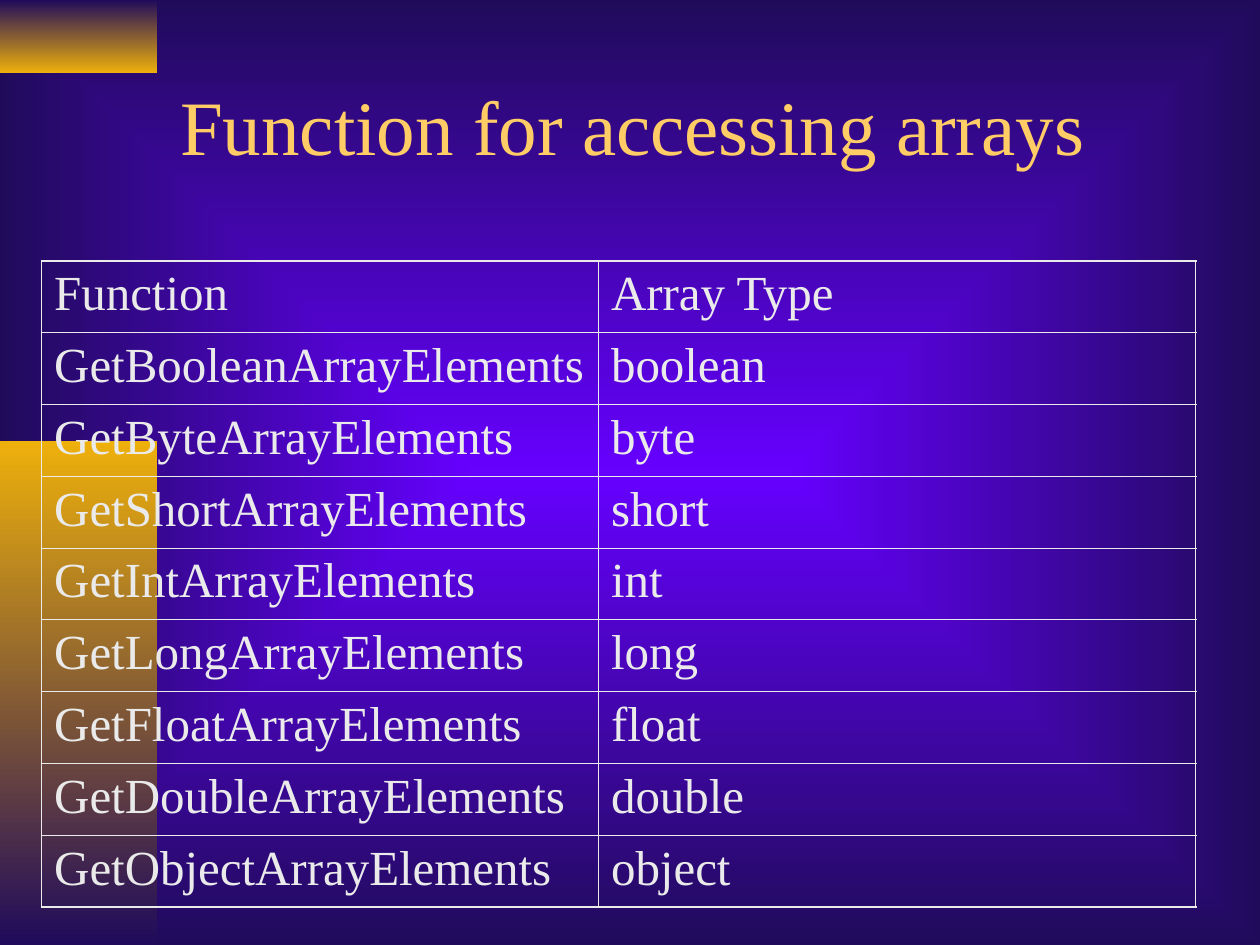
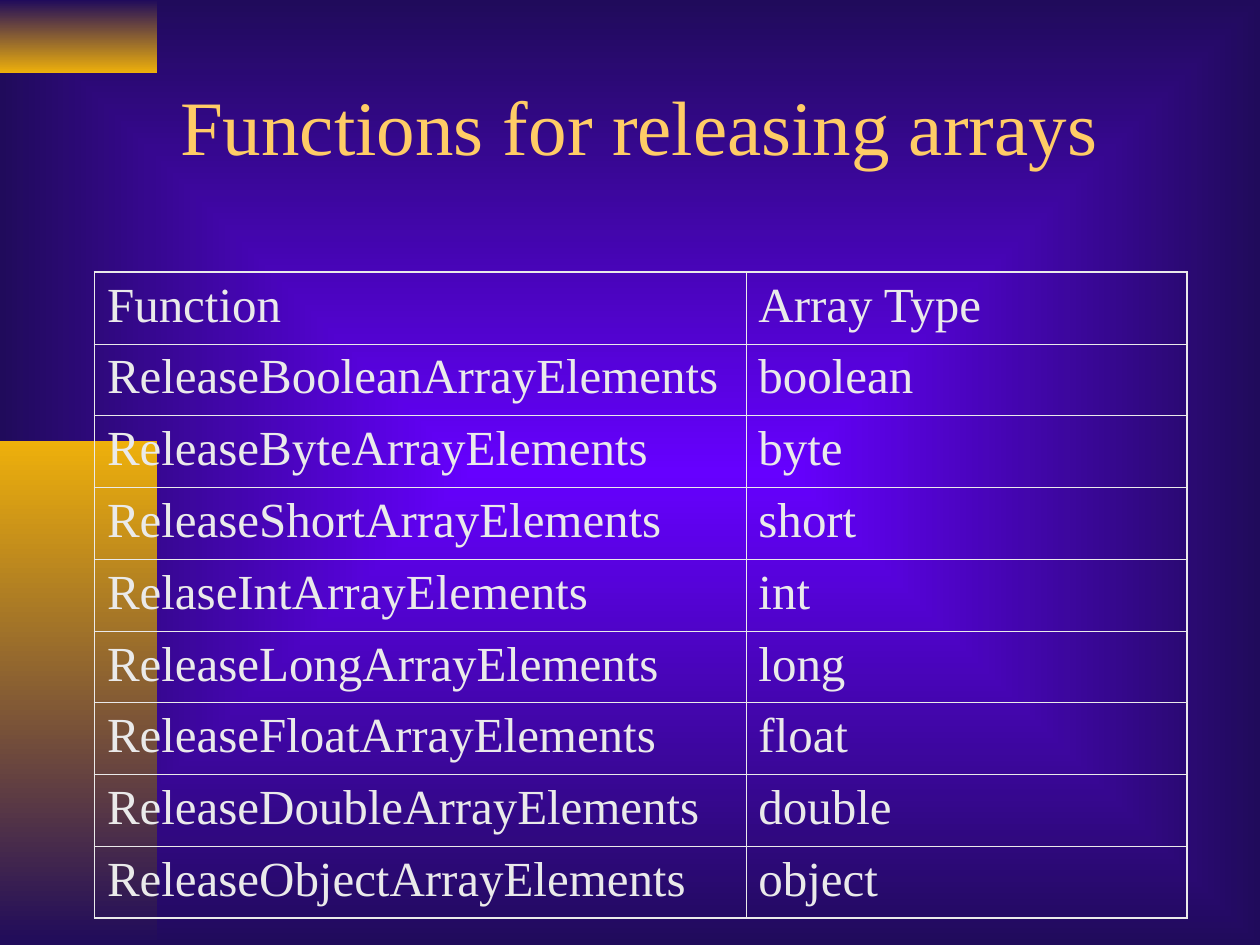
"""Build two slides that list the array functions and their types."""
from lxml import etree
from pptx import Presentation
from pptx.dml.color import RGBColor
from pptx.enum.shapes import MSO_SHAPE
from pptx.enum.text import MSO_ANCHOR, MSO_AUTO_SIZE, PP_ALIGN
from pptx.oxml import parse_xml
from pptx.oxml.ns import nsdecls, qn
from pptx.util import Inches, Pt

RECT = MSO_SHAPE.RECTANGLE
MIDDLE = MSO_ANCHOR.MIDDLE
LEFT = PP_ALIGN.LEFT
NO_FIT = MSO_AUTO_SIZE.NONE

VIOLET = RGBColor(0x66, 0x00, 0xFF)
NAVY = RGBColor(0x20, 0x0B, 0x5B)
GOLD = RGBColor(0xEE, 0xB0, 0x0B)
AMBER = RGBColor(0xFF, 0xCC, 0x66)
PALE = RGBColor(0xEA, 0xEA, 0xEA)

FONT = "Times New Roman"
ROW = 0.57
THICK, THIN = 1.08, 0.45

TYPES = ["Array Type", "boolean", "byte", "short", "int", "long",
         "float", "double", "object"]
GETS = ["Function", "GetBooleanArrayElements", "GetByteArrayElements",
        "GetShortArrayElements", "GetIntArrayElements",
        "GetLongArrayElements", "GetFloatArrayElements",
        "GetDoubleArrayElements", "GetObjectArrayElements"]
FREES = ["Function", "ReleaseBooleanArrayElements",
         "ReleaseByteArrayElements", "ReleaseShortArrayElements",
         "RelaseIntArrayElements", "ReleaseLongArrayElements",
         "ReleaseFloatArrayElements", "ReleaseDoubleArrayElements",
         "ReleaseObjectArrayElements"]


def write(frame, text, size=28, color=PALE, align=LEFT):
    """Put formatted text in a text frame."""
    frame.text = text
    para = frame.paragraphs[0]
    para.alignment = align
    font = para.runs[0].font
    font.name = FONT
    font.size = Pt(size)
    font.color.rgb = color


def blend(fill, first, last):
    """Give a fill a gradient that runs from top to bottom."""
    fill.gradient()
    fill.gradient_angle = 270
    for stop, color, place in zip(fill.gradient_stops, (first, last), (0, 1)):
        stop.color.rgb = color
        stop.position = place


def glow(master):
    """Light the master background from its centre."""
    blend(master.background.fill, VIOLET, NAVY)
    line = master.element.find(".//" + qn("a:lin"))
    line.getparent().replace(line, parse_xml(
        f'<a:path {nsdecls("a")} path="rect"><a:fillToRect l="50000" '
        't="50000" r="50000" b="50000"/></a:path>'))


def band(slide, master, index, top, height, first, last):
    """Add a gradient band to the left edge of the master."""
    shape = slide.shapes.add_shape(
        RECT, 0, Inches(top), Inches(1.25), Inches(height))
    shape.shadow.inherit = False
    shape.line.fill.background()
    blend(shape.fill, first, last)
    shape.element.nvSpPr.cNvPr.set("id", str(100 + index))
    master.shapes.element.insert(2 + index, shape.element)


def place(layout):
    """Set the title area that the slides share."""
    title = layout.placeholders[0]
    title.left, title.top = Inches(1.33), Inches(0.33)
    title.width, title.height = Inches(8.5), Inches(1.32)
    title.text_frame.vertical_anchor = MIDDLE
    title.text_frame.auto_size = NO_FIT


def border(cell, widths):
    """Draw the left, right, top and bottom cell lines."""
    props = cell._tc.get_or_add_tcPr()
    for index, (side, width) in enumerate(zip("LRTB", widths)):
        line = etree.Element(qn(f"a:ln{side}"), w=str(Pt(width)))
        fill = etree.SubElement(line, qn("a:solidFill"))
        etree.SubElement(fill, qn("a:srgbClr"), val=str(PALE))
        props.insert(index, line)


def grid(slide, left, top, widths, rows):
    """Add a clear table with a heavier outer frame."""
    table = slide.shapes.add_table(
        len(rows), len(widths), Inches(left), Inches(top),
        Inches(sum(widths)), Inches(ROW * len(rows))).table
    table.first_row = table.horz_banding = False
    for col, width in zip(table.columns, widths):
        col.width = Inches(width)
    for y, row in enumerate(rows):
        table.rows[y].height = Inches(ROW)
        for x, text in enumerate(row):
            cell = table.cell(y, x)
            write(cell.text_frame, text)
            edges = (x == 0, x == len(widths) - 1,
                     y == 0, y == len(rows) - 1)
            border(cell, [THICK if edge else THIN for edge in edges])
            cell.fill.background()


def page(deck, layout, title, names, left, top, widths):
    """Add a slide with a title and a function table."""
    slide = deck.slides.add_slide(layout)
    write(slide.shapes.title.text_frame, title, size=44, color=AMBER)
    grid(slide, left, top, widths, list(zip(names, TYPES)))
    return slide


def main():
    """Build and save the deck."""
    deck = Presentation()
    deck.slide_width, deck.slide_height = Inches(10), Inches(7.5)
    master, layout = deck.slide_master, deck.slide_layouts[5]
    glow(master)
    place(layout)
    slide = page(deck, layout, "Function for accessing arrays", GETS,
                 0.33, 2.07, (4.42, 4.74))
    page(deck, layout, "Functions for releasing arrays", FREES,
         0.75, 2.16, (5.17, 3.5))
    band(slide, master, 0, 0, 0.58, NAVY, GOLD)
    band(slide, master, 1, 3.5, 4, GOLD, NAVY)
    deck.save("out.pptx")


if __name__ == "__main__":
    main()
